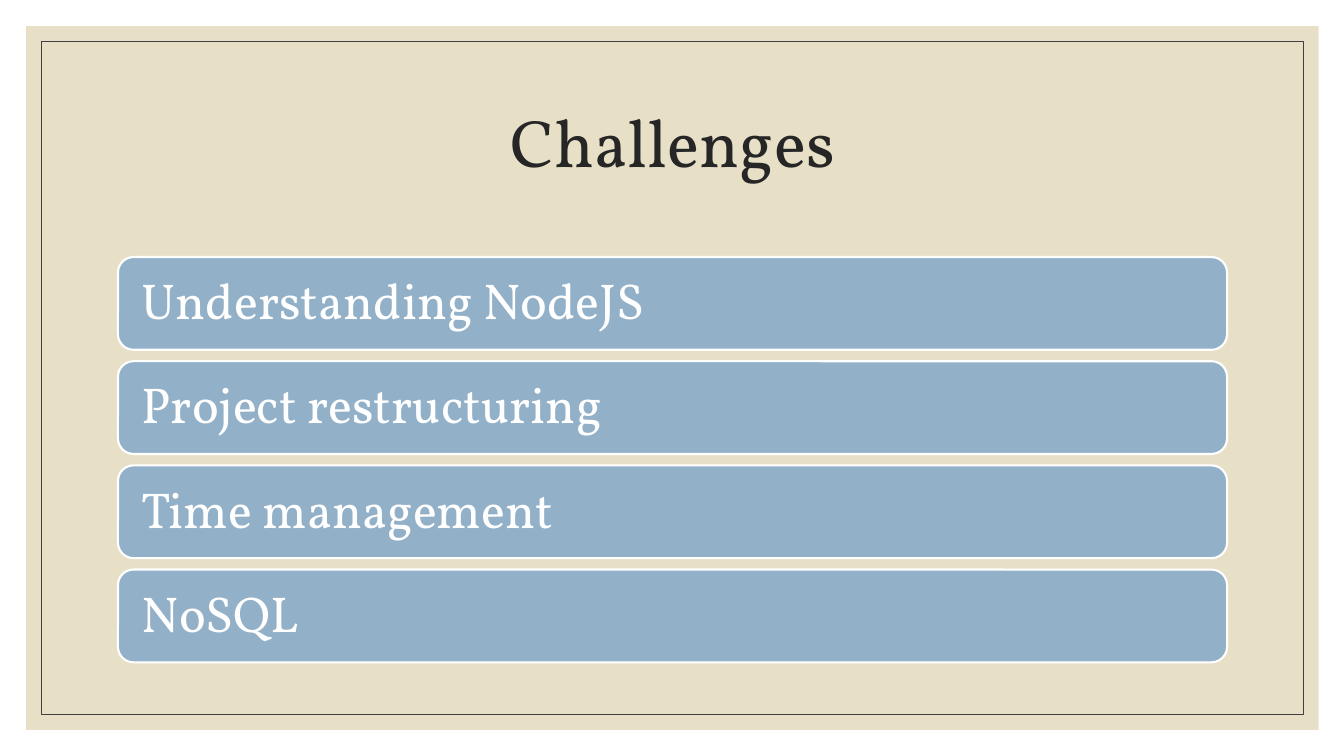
from pptx import Presentation
from pptx.dml.color import RGBColor
from pptx.enum.shapes import MSO_SHAPE
from pptx.enum.text import MSO_ANCHOR, PP_ALIGN
from pptx.util import Inches, Pt

RECTANGLE = MSO_SHAPE.RECTANGLE
ROUNDED = MSO_SHAPE.ROUNDED_RECTANGLE
MIDDLE = MSO_ANCHOR.MIDDLE
LEFT, CENTER = PP_ALIGN.LEFT, PP_ALIGN.CENTER

SAND = RGBColor(0xE7, 0xE0, 0xC7)
CHARCOAL = RGBColor(0x40, 0x40, 0x40)
INK = RGBColor(0x26, 0x26, 0x26)
BLUE = RGBColor(0x92, 0xB0, 0xC8)
WHITE = RGBColor(0xFF, 0xFF, 0xFF)

WIDTH, HEIGHT = Inches(13.33), Inches(7.5)
CONTENT_LEFT, CONTENT_WIDTH = 8.78, 82.52
BARS_TOP, BAR_HEIGHT, BAR_STEP = 34, 12.27, 13.78
CHALLENGES = ["Understanding NodeJS", "Project restructuring", "Time management", "NoSQL"]


def write(frame, text, size, color, align=LEFT, font="Vollkorn"):
    frame.word_wrap = True
    frame.vertical_anchor = MIDDLE
    paragraph = frame.paragraphs[0]
    paragraph.alignment = align
    paragraph.line_spacing = 0.9
    run = paragraph.add_run()
    run.text = text
    run.font.name = font
    run.font.size = Pt(size)
    run.font.color.rgb = color


class ChallengeSlide:
    def __init__(self, deck):
        self.slide = deck.slides.add_slide(deck.slide_layouts[5])
        self.title_size, self.bar_size = 48, 36

    def place(self, left, top, width, height):
        return (round(WIDTH * left / 100), round(HEIGHT * top / 100),
                round(WIDTH * width / 100), round(HEIGHT * height / 100))

    def panel(self, box, kind=RECTANGLE, fill=None, line=None, weight=0.5):
        panel = self.slide.shapes.add_shape(kind, *self.place(*box))
        panel.shadow.inherit = False
        if fill is None:
            panel.fill.background()
        else:
            panel.fill.solid()
            panel.fill.fore_color.rgb = fill
        if line is None:
            panel.line.fill.background()
        else:
            panel.line.color.rgb = line
            panel.line.width = Pt(weight)
        return panel

    def title(self, text, box):
        heading = self.slide.shapes.title
        heading.left, heading.top, heading.width, heading.height = self.place(*box)
        write(heading.text_frame, text, self.title_size, INK, align=CENTER)
        heading.element.getparent().append(heading.element)

    def bar(self, text, box):
        frame = self.panel(box, ROUNDED, BLUE, WHITE, 1.5).text_frame
        frame.margin_left = frame.margin_right = Inches(0.19)
        write(frame, text, self.bar_size, WHITE)


def main():
    deck = Presentation()
    deck.slide_width, deck.slide_height = WIDTH, HEIGHT
    page = ChallengeSlide(deck)
    page.panel((1.95, 3.47, 96.17, 93.07), fill=SAND)
    page.panel((3.08, 5.47, 93.92, 89.07), line=CHARCOAL)
    page.title("Challenges", (CONTENT_LEFT, 9.33, CONTENT_WIDTH, 20))
    for row, challenge in enumerate(CHALLENGES):
        page.bar(challenge, (CONTENT_LEFT, BARS_TOP + row * BAR_STEP, CONTENT_WIDTH, BAR_HEIGHT))
    deck.save("out.pptx")


if __name__ == "__main__":
    main()
